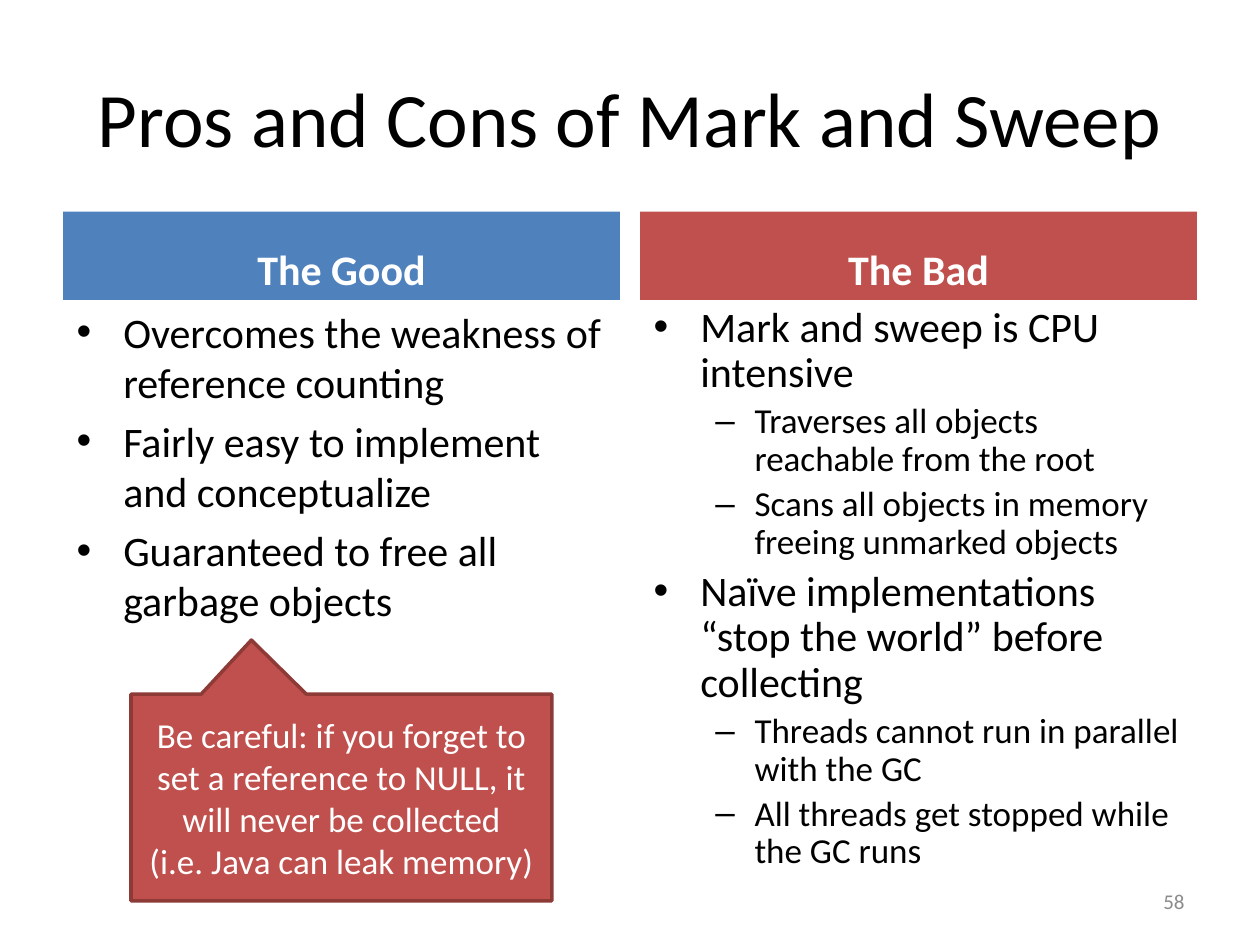
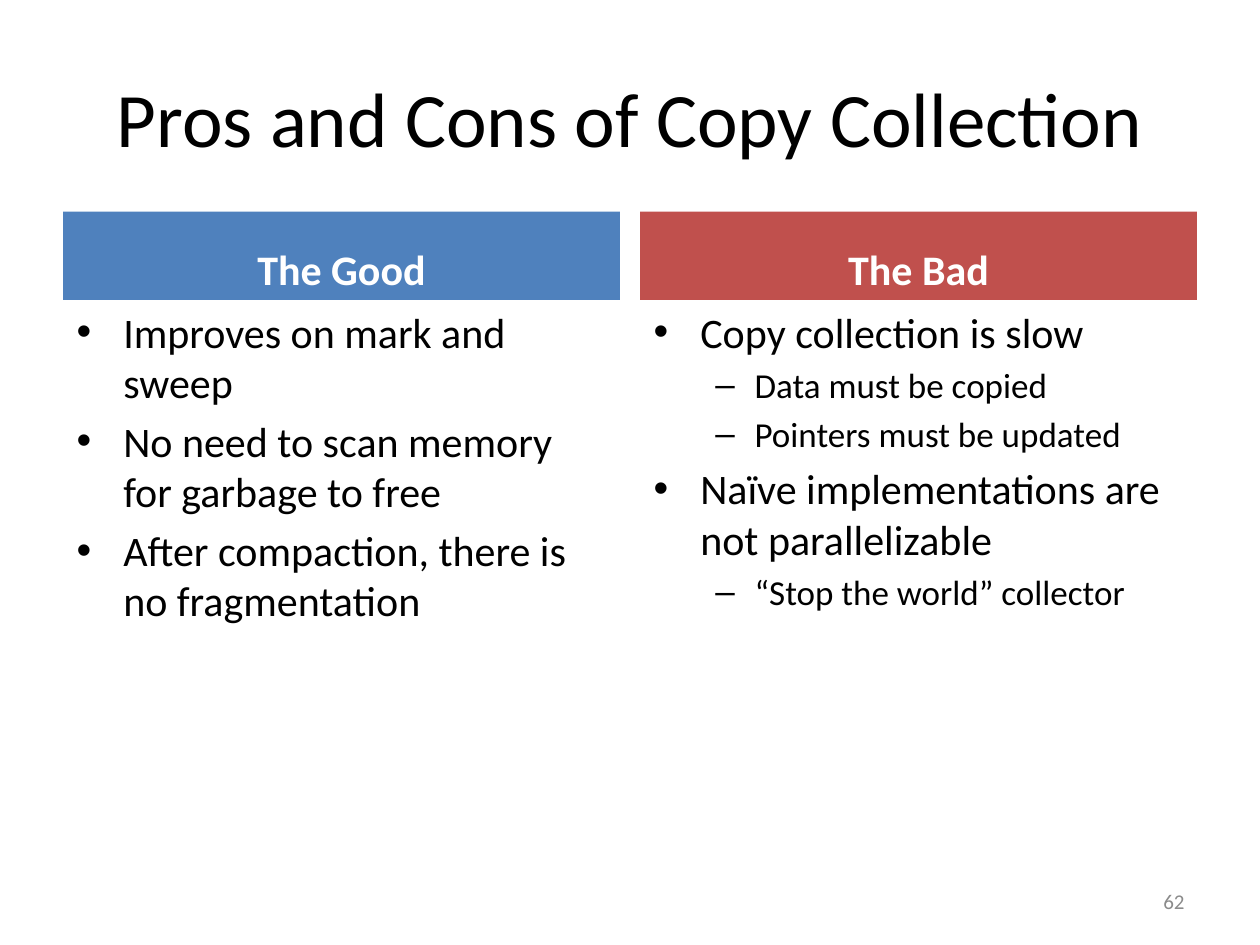
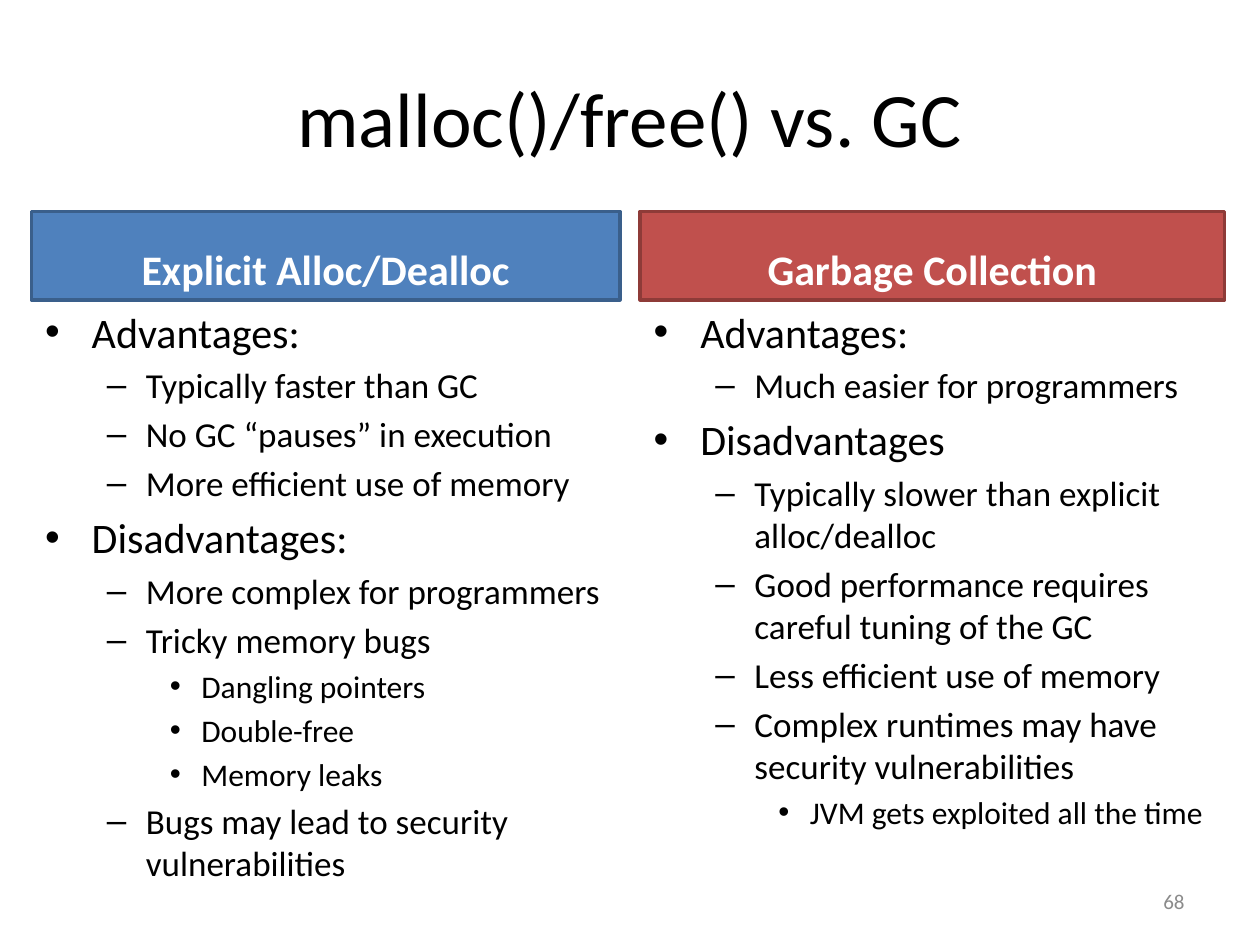
"""Build three slides that compare garbage collection strategies in two columns."""
import dataclasses

import lxml.etree
import pptx
import pptx.dml.color
import pptx.enum.shapes
import pptx.enum.text
import pptx.oxml.ns
import pptx.util

Inches = pptx.util.Inches
Pt = pptx.util.Pt
ALIGN = pptx.enum.text.PP_ALIGN
ANCHOR = pptx.enum.text.MSO_ANCHOR
SHAPE = pptx.enum.shapes.MSO_SHAPE

FONT = "Calibri"
BLACK, WHITE, GREY = "000000", "FFFFFF", "8B8B8B"
BLUE, DARK_BLUE = "4F81BD", "3A5F8B"
RED, DARK_RED = "C0504D", "8E3B38"

HEADER_TOP, HEADER_HEIGHT = 1.68, 0.7
LEFT_END, RIGHT_START = 4.92, 5.08

# Per outline level: bullet, text size, left indent, hanging indent, space before
LEVELS = [
    ("•", 24, 0.38, 0.37, 4.8),
    ("–", 20, 0.81, 0.31, 4),
    ("•", 18, 1.25, 0.25, 3.6),
]


@dataclasses.dataclass
class Column:
    """Content of one column: a heading and (level, text) items."""
    heading: str
    items: list
    body_height: float
    line_spacing: float = 1.0


def color(value):
    """Return the colour for a hex string."""
    return pptx.dml.color.RGBColor.from_string(value)


def format_text(frame, size, ink, align, anchor, bold=False):
    """Give all text in a frame one look."""
    frame.word_wrap = True
    frame.vertical_anchor = anchor
    for para in frame.paragraphs:
        para.alignment = align
        for span in para.runs:
            span.font.name = FONT
            span.font.size = Pt(size)
            span.font.bold = bold
            span.font.color.rgb = color(ink)


def add_block(page, kind, box, fill, outline=None):
    """Add a filled shape with an optional outline."""
    block = page.shapes.add_shape(kind, *map(Inches, box))
    block.shadow.inherit = False
    block.fill.solid()
    block.fill.fore_color.rgb = color(fill)
    if outline:
        block.line.color.rgb = color(outline)
        block.line.width = Pt(2)
    else:
        block.line.fill.background()
    return block


def add_bullet(para, character, left, hanging):
    """Set the bullet and hanging indent of a paragraph."""
    properties = para._p.get_or_add_pPr()
    properties.set("marL", str(Inches(left)))
    properties.set("indent", str(-Inches(hanging)))
    for tag, name, value in (("a:buFont", "typeface", "Arial"), ("a:buChar", "char", character)):
        lxml.etree.SubElement(properties, pptx.oxml.ns.qn(tag)).set(name, value)


def add_outline(page, box, items, line_spacing):
    """Add a text box with a multi-level bullet list."""
    frame = page.shapes.add_textbox(*map(Inches, box)).text_frame
    frame.text = "\n".join(text for _, text in items)
    format_text(frame, LEVELS[0][1], BLACK, ALIGN.LEFT, ANCHOR.TOP)
    for para, (level, _) in zip(frame.paragraphs, items):
        character, size, left, hanging, space = LEVELS[level]
        para.level = level
        para.space_before = Pt(space)
        para.line_spacing = line_spacing
        add_bullet(para, character, left, hanging)
        para.runs[0].font.size = Pt(size)


def add_column(page, left, width, column, fill, outline):
    """Add a heading band with its list below."""
    band = add_block(page, SHAPE.RECTANGLE, (left, HEADER_TOP, width, HEADER_HEIGHT), fill, outline)
    band.text_frame.text = column.heading
    format_text(band.text_frame, 24, WHITE, ALIGN.CENTER, ANCHOR.BOTTOM, bold=True)
    body = (left, HEADER_TOP + HEADER_HEIGHT, width, column.body_height)
    add_outline(page, body, column.items, column.line_spacing)


def add_comparison(deck, title, number, good, bad, start=0.5, end=9.5, outlined=False):
    """Add a slide with a title, two columns and a slide number."""
    page = deck.slides.add_slide(deck.slide_layouts[5])
    heading = page.shapes.title
    heading.left, heading.top, heading.width, heading.height = map(Inches, (0.5, 0.3, 9, 1.25))
    heading.text_frame.text = title
    format_text(heading.text_frame, 44, BLACK, ALIGN.CENTER, ANCHOR.MIDDLE)
    add_column(page, start, LEFT_END - start, good, BLUE, DARK_BLUE if outlined else None)
    add_column(page, RIGHT_START, end - RIGHT_START, bad, RED, DARK_RED if outlined else None)
    footer = page.shapes.add_textbox(*map(Inches, (7.17, 6.95, 2.33, 0.4))).text_frame
    footer.text = str(number)
    format_text(footer, 12, GREY, ALIGN.RIGHT, ANCHOR.MIDDLE)
    return page


def add_callout(page, box, text):
    """Add a red callout pointing up at the list."""
    callout = add_block(page, SHAPE.RECTANGULAR_CALLOUT, box, RED, DARK_RED)
    callout.adjustments[0], callout.adjustments[1] = -0.214, -0.762
    callout.text_frame.text = text
    format_text(callout.text_frame, 20, WHITE, ALIGN.CENTER, ANCHOR.MIDDLE)


def main():
    """Build and save the deck."""
    deck = pptx.Presentation()
    deck.slide_width, deck.slide_height = Inches(10), Inches(7.5)

    page = add_comparison(
        deck, "Pros and Cons of Mark and Sweep", 58,
        Column("The Good", [
            (0, "Overcomes the weakness of reference counting"),
            (0, "Fairly easy to implement and conceptualize"),
            (0, "Guaranteed to free all garbage objects"),
        ], 4.32),
        Column("The Bad", [
            (0, "Mark and sweep is CPU intensive"),
            (1, "Traverses all objects reachable from the root"),
            (1, "Scans all objects in memory freeing unmarked objects"),
            (0, "Naïve implementations “stop the world” before collecting"),
            (1, "Threads cannot run in parallel with the GC"),
            (1, "All threads get stopped while the GC runs"),
        ], 4.97, line_spacing=0.9))
    add_callout(page, (1.04, 5.51, 3.34, 1.64),
                "Be careful: if you forget to set a reference to NULL, it will never be collected\n"
                "(i.e. Java can leak memory)")

    add_comparison(
        deck, "Pros and Cons of Copy Collection", 62,
        Column("The Good", [
            (0, "Improves on mark and sweep"),
            (0, "No need to scan memory for garbage to free"),
            (0, "After compaction, there is no fragmentation"),
        ], 4.32),
        Column("The Bad", [
            (0, "Copy collection is slow"),
            (1, "Data must be copied"),
            (1, "Pointers must be updated"),
            (0, "Naïve implementations are not parallelizable"),
            (1, "“Stop the world” collector"),
        ], 4.97))

    add_comparison(
        deck, "malloc()/free() vs. GC", 68,
        Column("Explicit Alloc/Dealloc", [
            (0, "Advantages:"),
            (1, "Typically faster than GC"),
            (1, "No GC “pauses” in execution"),
            (1, "More efficient use of memory"),
            (0, "Disadvantages:"),
            (1, "More complex for programmers"),
            (1, "Tricky memory bugs"),
            (2, "Dangling pointers"),
            (2, "Double-free"),
            (2, "Memory leaks"),
            (1, "Bugs may lead to security vulnerabilities"),
        ], 4.85),
        Column("Garbage Collection", [
            (0, "Advantages:"),
            (1, "Much easier for programmers"),
            (0, "Disadvantages"),
            (1, "Typically slower than explicit alloc/dealloc"),
            (1, "Good performance requires careful tuning of the GC"),
            (1, "Less efficient use of memory"),
            (1, "Complex runtimes may have security vulnerabilities"),
            (2, "JVM gets exploited all the time"),
        ], 4.85),
        start=0.25, end=9.72, outlined=True)

    deck.save("out.pptx")


if __name__ == "__main__":
    main()
